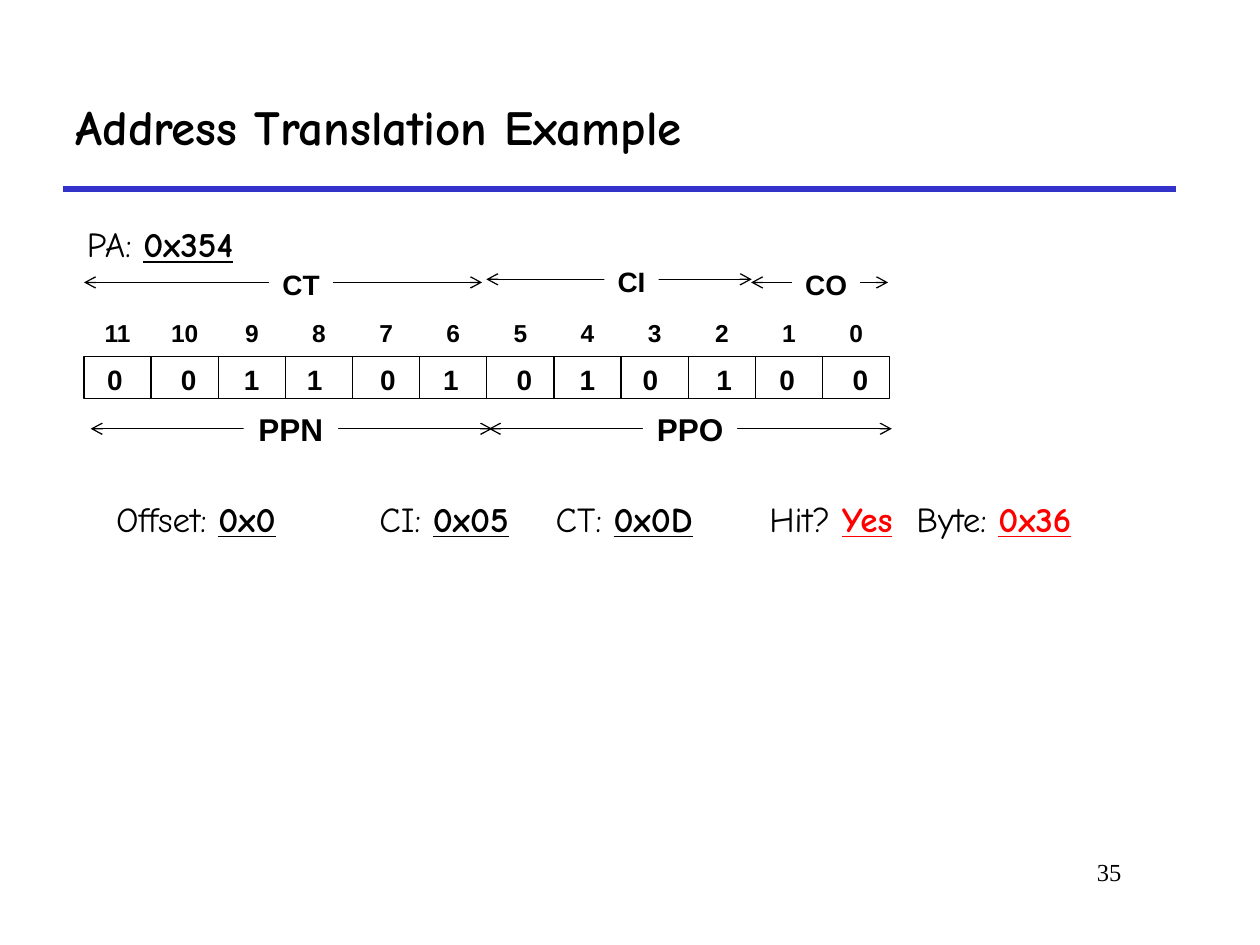
from dataclasses import dataclass
from itertools import accumulate

from lxml import etree
from pptx import Presentation
from pptx.dml.color import RGBColor
from pptx.enum.shapes import MSO_CONNECTOR, MSO_SHAPE
from pptx.enum.text import MSO_ANCHOR, MSO_AUTO_SIZE, PP_ALIGN
from pptx.oxml.ns import qn
from pptx.util import Pt

LEFT, CENTER, RIGHT = PP_ALIGN.LEFT, PP_ALIGN.CENTER, PP_ALIGN.RIGHT
TOP, MIDDLE = MSO_ANCHOR.TOP, MSO_ANCHOR.MIDDLE
GROW, FIXED = MSO_AUTO_SIZE.SHAPE_TO_FIT_TEXT, MSO_AUTO_SIZE.NONE
RECTANGLE, STRAIGHT = MSO_SHAPE.RECTANGLE, MSO_CONNECTOR.STRAIGHT


@dataclass(frozen=True)
class Theme:
    ink: RGBColor = RGBColor(0, 0, 0)
    paper: RGBColor = RGBColor(255, 255, 255)
    rule: RGBColor = RGBColor(0x33, 0x33, 0xCC)
    answer: RGBColor = RGBColor(255, 0, 0)
    hand_font: str = "Comic Neue"
    label_font: str = "Arial"
    number_font: str = "Times New Roman"
    title_size: int = 28
    body_size: int = 20
    page_size: int = 18
    bit_size: int = 16
    small_size: int = 14
    thin: float = 0.75
    thick: float = 3


THEME = Theme()


def add_run(paragraph, text, font, size, color=THEME.ink, bold=False, underline=False):
    run = paragraph.add_run()
    run.text = text
    run.font.name = font
    run.font.size = Pt(size)
    run.font.color.rgb = color
    run.font.bold = bold
    run.font.underline = underline


def set_paragraph(paragraph, align=LEFT, spacing=1.0, before=0):
    paragraph.alignment = align
    paragraph.line_spacing = spacing
    paragraph.space_before = Pt(before)


def add_text_box(slide, box, anchor=TOP, auto_size=GROW, wrap=False):
    shape = slide.shapes.add_textbox(*map(Pt, box))
    frame = shape.text_frame
    frame.word_wrap = wrap
    frame.auto_size = auto_size
    frame.vertical_anchor = anchor
    return shape


def add_label(slide, box, text, size, spacing=1.0, before=0, anchor=TOP, auto_size=GROW):
    shape = add_text_box(slide, box, anchor, auto_size)
    paragraph = shape.text_frame.paragraphs[0]
    set_paragraph(paragraph, CENTER, spacing, before)
    add_run(paragraph, text, THEME.label_font, size, bold=True)
    return shape


def add_line(slide, left, right, top, color, width, arrows=False):
    line = slide.shapes.add_connector(STRAIGHT, Pt(left), Pt(top), Pt(right), Pt(top))
    line.line.color.rgb = color
    line.line.width = Pt(width)
    properties = line._element.spPr
    if arrows:
        outline = properties.find(qn("a:ln"))
        for end in ("a:headEnd", "a:tailEnd"):
            etree.SubElement(outline, qn(end), type="arrow")
    etree.SubElement(properties, qn("a:effectLst"))


def add_title(slide, box, text):
    left, top, width, height = box
    title = slide.shapes.title
    title.left, title.top, title.width, title.height = map(Pt, box)
    frame = title.text_frame
    frame.auto_size = FIXED
    frame.vertical_anchor = MIDDLE
    paragraph = frame.paragraphs[0]
    set_paragraph(paragraph)
    add_run(paragraph, text, THEME.hand_font, THEME.title_size, bold=True)
    add_line(slide, left, left + width, top + height, THEME.rule, THEME.thick)


def add_answers(slide, box, answers, tab_stops=(), spacing=1.0, before=0, wrap=False):
    shape = add_text_box(slide, box, wrap=wrap)
    paragraph = shape.text_frame.paragraphs[0]
    set_paragraph(paragraph, LEFT, spacing, before)
    if tab_stops:
        tabs = etree.SubElement(paragraph._p.get_or_add_pPr(), qn("a:tabLst"))
        for stop in tab_stops:
            etree.SubElement(tabs, qn("a:tab"), pos=str(Pt(stop)), algn="l")
    for index, (question, value, color) in enumerate(answers):
        lead = "\t" if index else ""
        add_run(paragraph, f"{lead}{question} ", THEME.hand_font, THEME.body_size)
        add_run(paragraph, value, THEME.hand_font, THEME.body_size, color, True, True)


def add_field_span(slide, start, end, top, label_box, text, size, before):
    add_line(slide, start, end, top, THEME.ink, THEME.thin, arrows=True)
    label = add_label(slide, label_box, text, size, 0.9, before)
    label.fill.solid()
    label.fill.fore_color.rgb = THEME.paper


def add_address_bits(slide, box, bits):
    left, top, width, height = box
    cell_width = width / len(bits)
    row_height = 24
    cell_top = top + height - row_height
    for index in range(len(bits)):
        x = left + index * cell_width
        cell = slide.shapes.add_shape(
            RECTANGLE, Pt(x), Pt(cell_top), Pt(cell_width), Pt(row_height)
        )
        cell.shadow.inherit = False
        cell.fill.background()
        cell.line.color.rgb = THEME.ink
        cell.line.width = Pt(THEME.thin)
        add_label(slide, (x, top, cell_width, row_height), str(len(bits) - 1 - index),
                  THEME.small_size, 0.9, 5.2, MIDDLE, FIXED)

    wide, narrow = 42, 36
    steps = (6.2, wide, narrow, narrow, wide, narrow, wide, narrow, narrow, wide, narrow, wide)
    for bit, offset in zip(bits, accumulate(steps)):
        add_label(slide, (left + offset, cell_top, 23, 26.5), bit, THEME.bit_size)

    cache_fields = (
        ("CT", 0, 227.5, -18, 105.8, 36.5),
        ("CI", 229.9, 381.6, -19.8, 297.4, 31),
        ("CO", 381.2, 459.5, -18, 404.6, 39),
    )
    page_fields = (
        ("PPN", 3.8, 233.3, 65.6, 91.2, 54),
        ("PPO", 231.4, 461.6, 65.6, 319.3, 54),
    )
    for fields, size, before, rise, label_height in (
        (cache_fields, THEME.bit_size, 6, 9.8, 24.5),
        (page_fields, THEME.page_size, 6.8, 11.8, 26.5),
    ):
        for text, start, end, drop, label_left, label_width in fields:
            line_top = top + drop
            label_box = (left + label_left, line_top - rise, label_width, label_height)
            add_field_span(slide, left + start, left + end, line_top,
                           label_box, text, size, before)


def add_page_number(slide, box, number):
    shape = add_text_box(slide, box, auto_size=FIXED, wrap=True)
    paragraph = shape.text_frame.paragraphs[0]
    set_paragraph(paragraph, RIGHT)
    add_run(paragraph, number, THEME.number_font, THEME.small_size)


def main():
    presentation = Presentation()
    presentation.slide_width, presentation.slide_height = Pt(720), Pt(540)
    slide = presentation.slides.add_slide(presentation.slide_layouts[5])
    add_title(slide, (36, 36, 636, 72), "Address Translation Example")
    add_answers(slide, (42.5, 114, 99, 41), [("PA:", "0x354", THEME.ink)], spacing=1.4)
    add_address_bits(slide, (48, 179.4, 460.4, 48.2), "001101010100")
    add_answers(
        slide,
        (59.3, 283.2, 576, 29),
        [
            ("Offset:", "0x0", THEME.ink),
            ("CI:", "0x05", THEME.ink),
            ("CT:", "0x0D", THEME.ink),
            ("Hit?", "Yes", THEME.answer),
            ("Byte:", "0x36", THEME.answer),
        ],
        tab_stops=(150.5, 251.2, 373.3, 457.3),
        spacing=0.9,
        before=5,
        wrap=True,
    )
    add_page_number(slide, (546, 486, 102, 36), "35")
    presentation.save("out.pptx")


if __name__ == "__main__":
    main()
